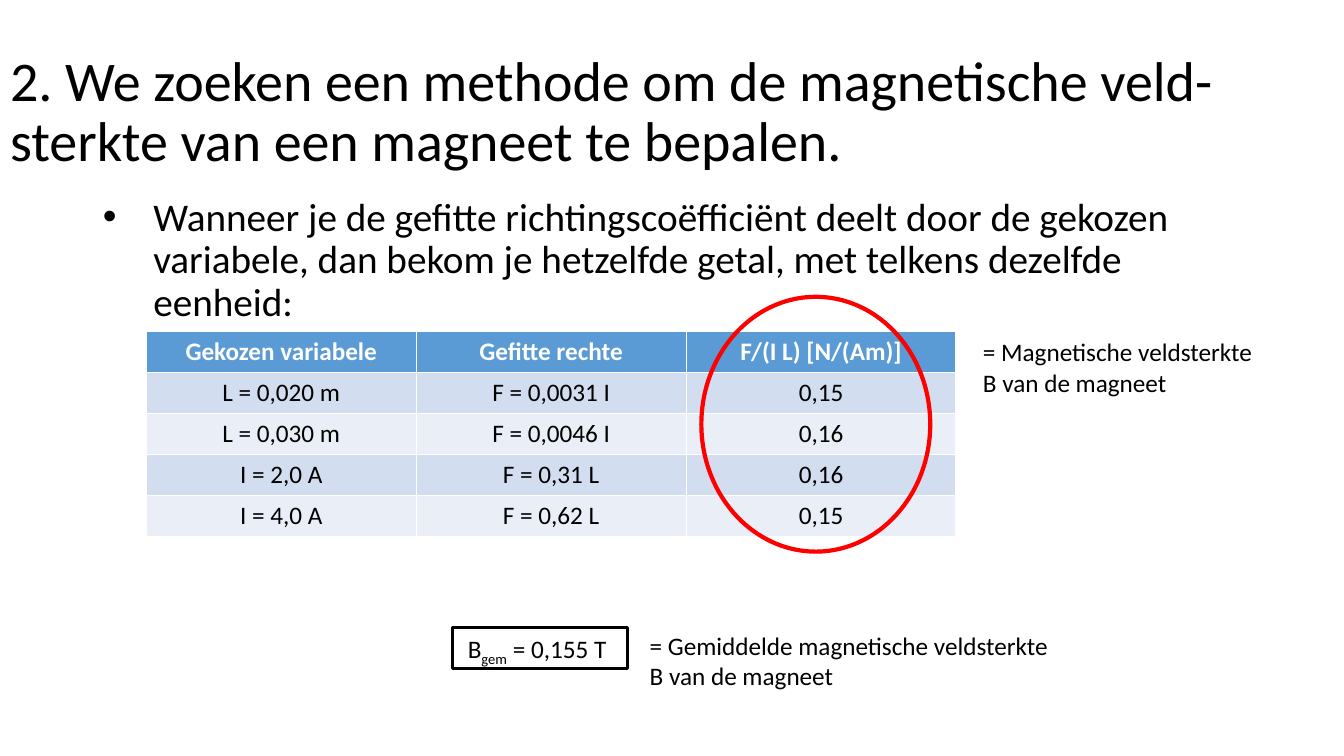
from pptx import Presentation
from pptx.dml.color import RGBColor as RGB
from pptx.enum.shapes import MSO_SHAPE as Shape
from pptx.enum.text import MSO_ANCHOR as Anchor, MSO_AUTO_SIZE as Fit, PP_ALIGN as Align
from pptx.oxml.ns import qn
from pptx.util import Pt
from lxml.etree import SubElement as Sub

theme = {
    "font": "Calibri", "title": 40, "body": 28, "small": 18,
    "ink": "000000", "white": "FFFFFF", "ring": "FF0000",
    "head": "5B9BD5", "bands": ("D2DEEF", "EAEFF7"),
}


def write(para, text, size, ink="ink", **more):
    run = para.add_run()
    run.text = text
    look = {"name": theme["font"], "size": Pt(theme[size]), "bold": False, **more}
    for key, val in look.items():
        setattr(run.font, key, val)
    run.font.color.rgb = RGB.from_string(theme[ink])
    return run


def outline(kind, box, ink, width):
    shape = slide.shapes.add_shape(kind, *map(Pt, box))
    shape.shadow.inherit = False
    shape.fill.background()
    shape.line.color.rgb = RGB.from_string(theme[ink])
    shape.line.width = Pt(width)
    return shape


deck = Presentation()
deck.slide_width, deck.slide_height = Pt(960), Pt(540)
slide = deck.slides.add_slide(deck.slide_layouts[5])

# Title
title = slide.shapes.title
spot = {"left": 0, "top": 29, "width": 960, "height": 104}
for key, val in spot.items():
    setattr(title, key, Pt(val))
frame = title.text_frame
frame.auto_size, frame.vertical_anchor = Fit.NONE, Anchor.MIDDLE
para = frame.paragraphs[0]
para.alignment, para.line_spacing = Align.LEFT, 0.9
write(para, "2. We zoeken een methode om de magnetische veld-sterkte "
      "van een magneet te bepalen.", "title")

# Plain texts: main point, then the notes beside the table and the result
texts = [
    ((66.5, 137.5, 828, 245.5), "body",
     "Wanneer je de gefitte richtingscoëfficiënt deelt door de gekozen variabele, "
     "dan bekom je hetzelfde getal, met telkens dezelfde eenheid:"),
    ((695, 237, 215, 51), "small", "= Magnetische veldsterkte B van de magneet"),
    ((457, 446.5, 304, 51), "small",
     "= Gemiddelde magnetische veldsterkte B van de magneet"),
]
for box, size, text in texts:
    frame = slide.shapes.add_textbox(*map(Pt, box)).text_frame
    frame.word_wrap = True
    para = frame.paragraphs[0]
    write(para, text, size)
    if size == "body":
        para.line_spacing, para.space_before = 0.9, Pt(10)
        props = para._p.get_or_add_pPr()
        props.set("marL", str(Pt(36)))
        props.set("indent", str(Pt(-36)))
        Sub(props, qn("a:buFont"), typeface="Arial")
        Sub(props, qn("a:buChar"), char="•")

# Table of fits
rows = [
    ("Gekozen variabele", "Gefitte rechte", "F/(I L) [N/(Am)]"),
    ("L = 0,020 m", "F = 0,0031 I", "0,15"),
    ("L = 0,030 m", "F = 0,0046 I", "0,16"),
    ("I = 2,0 A", "F = 0,31 L", "0,16"),
    ("I = 4,0 A", "F = 0,62 L", "0,15"),
]
table = slide.shapes.add_table(
    len(rows), 3, Pt(104.5), Pt(237), Pt(578.4), Pt(146)).table
for r, row in enumerate(rows):
    fill = theme["bands"][(r - 1) % 2] if r else theme["head"]
    for c, text in enumerate(row):
        cell = table.cell(r, c)
        cell.fill.solid()
        cell.fill.fore_color.rgb = RGB.from_string(fill)
        cell.vertical_anchor = Anchor.MIDDLE
        para = cell.text_frame.paragraphs[0]
        para.alignment = Align.CENTER
        write(para, text, "small", "ink" if r else "white", bold=r == 0)

# Ring around the last column
outline(Shape.OVAL, (501, 212, 163.5, 182), "ring", 3)

# Mean field strength
mean = outline(Shape.RECTANGLE, (323.5, 448.5, 124.5, 29), "ink", 2.25)
mean.text_frame.vertical_anchor = Anchor.TOP
para = mean.text_frame.paragraphs[0]
para.alignment = Align.CENTER
write(para, "B", "small")
sub = write(para, "gem", "small")
sub._r.get_or_add_rPr().set("baseline", "-25000")
write(para, " = 0,155 T ", "small")

deck.save("out.pptx")
